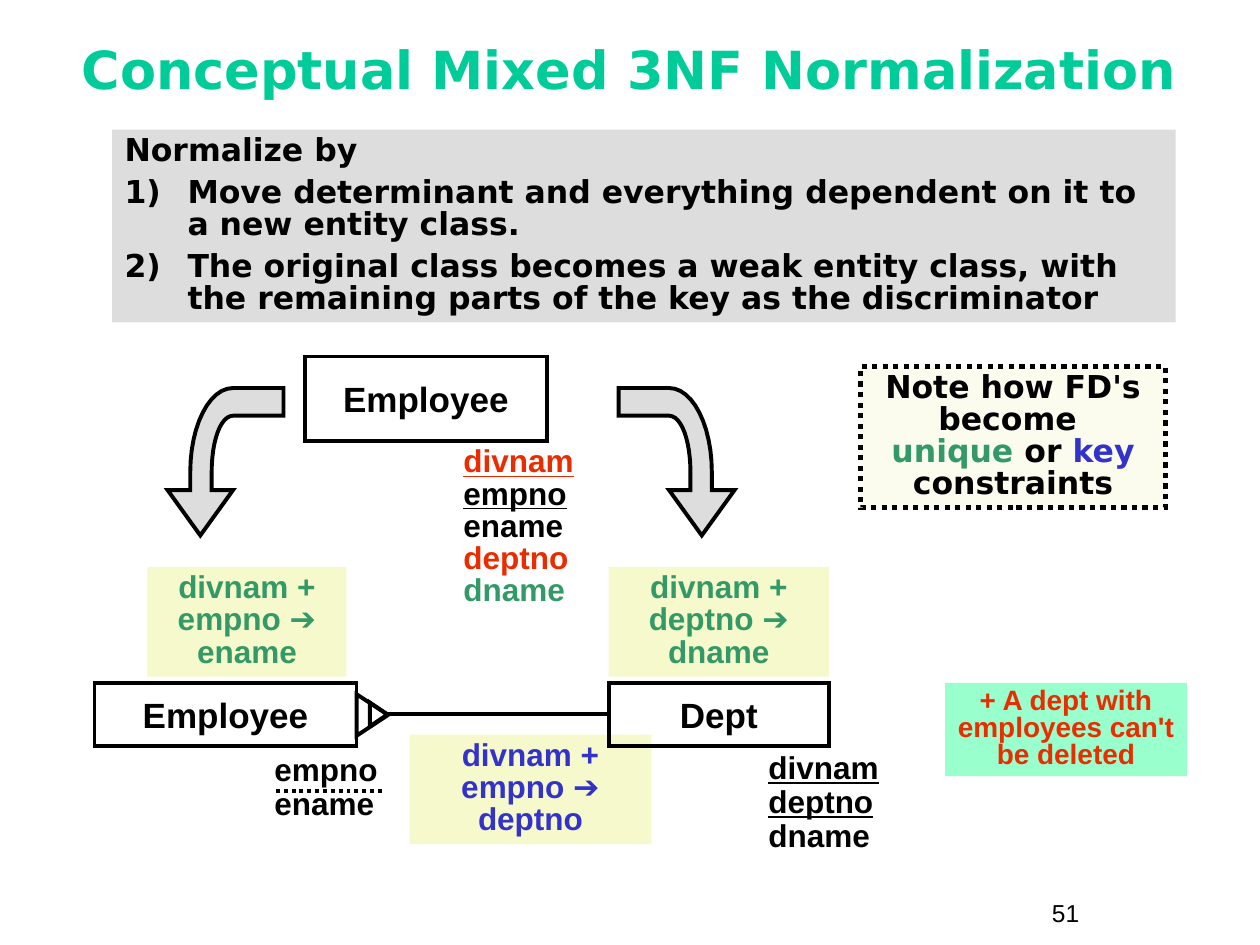
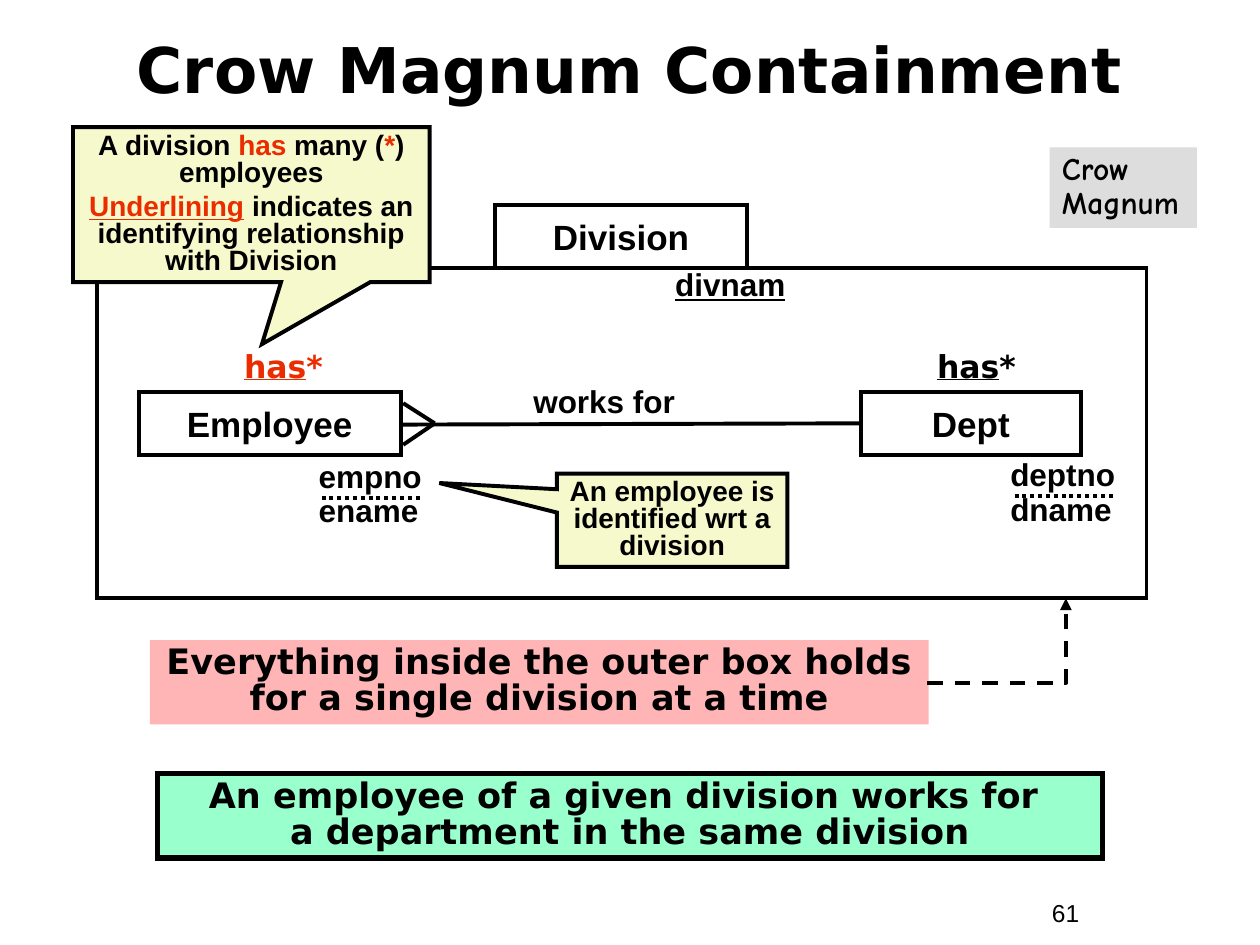
from dataclasses import dataclass

from lxml import etree
from pptx import Presentation
from pptx.dml.color import RGBColor
from pptx.enum import dml, shapes, text
from pptx.oxml import ns
from pptx.util import Inches, Pt

RECT = shapes.MSO_SHAPE.RECTANGLE
CALLOUT = shapes.MSO_SHAPE.RECTANGULAR_CALLOUT
TRIANGLE = shapes.MSO_SHAPE.ISOSCELES_TRIANGLE
DOTS = dml.MSO_LINE.ROUND_DOT
DASHES = dml.MSO_LINE.DASH
CENTER = text.PP_ALIGN.CENTER


@dataclass(frozen=True)
class Theme:
    black: str = "000000"
    mint: str = "00CC99"
    red: str = "EA2D00"
    green: str = "339966"
    blue: str = "3333CC"
    gray: str = "DDDDDD"
    cream: str = "F6F9CB"
    ivory: str = "FBFCEE"
    pink: str = "FFB5B5"
    aqua: str = "99FFCC"
    sans: str = "Arial"
    display: str = "DejaVu Sans"
    comic: str = "Comic Neue"
    line: float = 2.25
    heavy: float = 3
    small: int = 14
    note: int = 16
    body: int = 18
    label: int = 20


THEME = Theme()
BASE = dict(size=THEME.body, name=THEME.sans, color=THEME.black, bold=True, underline=False)
DISPLAY = BASE | dict(name=THEME.display)
LABEL = BASE | dict(size=THEME.label)
BANNER = DISPLAY | dict(size=THEME.label)
NOTE = BASE | dict(size=THEME.note)
RED = dict(color=THEME.red)
GREEN = dict(color=THEME.green)
BLUE = dict(color=THEME.blue)
UNDER = dict(underline=True)

TIGHT = dict(line_spacing=0.85)
CENTERED = TIGHT | dict(alignment=CENTER, space_before=Pt(11.2))
BANNER_PARA = CENTERED | dict(space_before=Pt(12.5))
NOTE_PARA = dict(alignment=CENTER, line_spacing=0.8, space_before=Pt(4))


@dataclass(frozen=True)
class Box:
    left: float
    top: float
    width: float
    height: float

    def area(self, dx, dy, width, height):
        return Box(self.left + dx, self.top + dy, width, height)

    def point(self, dx, dy):
        return self.left + dx, self.top + dy

    @property
    def lengths(self):
        return [Inches(v) for v in (self.left, self.top, self.width, self.height)]


def add_xml(parent, tag, **attributes):
    return etree.SubElement(parent, ns.qn(tag), attributes)


def set_values(target, values):
    for key, value in values.items():
        setattr(target, key, value)


def format_span(span, values):
    for key, value in values.items():
        if key == "color":
            span.font.color.rgb = RGBColor.from_string(value)
        else:
            setattr(span.font, key, Pt(value) if key == "size" else value)


def write(shape, paragraphs, font=BASE, para_format=TIGHT, anchor=text.MSO_ANCHOR.TOP, wrap=True, grow=True):
    """Fill a shape; a paragraph is a string or a list of (words, font changes)."""
    frame = shape.text_frame
    set_values(frame, dict(
        word_wrap=wrap, vertical_anchor=anchor,
        auto_size=text.MSO_AUTO_SIZE.SHAPE_TO_FIT_TEXT if grow else text.MSO_AUTO_SIZE.NONE))
    for index, spans in enumerate(paragraphs):
        para = frame.add_paragraph() if index else frame.paragraphs[0]
        set_values(para, dict(alignment=text.PP_ALIGN.LEFT) | para_format)
        for words, changes in [(spans, {})] if isinstance(spans, str) else spans:
            for row, piece in enumerate(words.split("\n")):
                if row:
                    para.add_line_break()
                if piece:
                    span = para.add_run()
                    span.text = piece
                    format_span(span, font | changes)
    return shape


def set_line(line, width, dash=None):
    line.color.rgb = RGBColor.from_string(THEME.black)
    line.width = Pt(width)
    if dash:
        line.dash_style = dash


def paint(shape, fill=None, line=None, dash=None):
    shape.shadow.inherit = False
    if fill:
        shape.fill.solid()
        shape.fill.fore_color.rgb = RGBColor.from_string(fill)
    else:
        shape.fill.background()
    if line:
        set_line(shape.line, line, dash)
        add_xml(shape.element.spPr.find(ns.qn("a:ln")), "a:miter", lim="800000")
    else:
        shape.line.fill.background()
    return shape


def add_panel(page, box, fill=None, line=None, dash=None, kind=RECT):
    return paint(page.shapes.add_shape(kind, *box.lengths), fill, line, dash)


def add_words(page, box, paragraphs, font=BASE, para_format=TIGHT):
    return write(page.shapes.add_textbox(*box.lengths), paragraphs, font, para_format)


def add_line(page, start, end, dash=None, kind=shapes.MSO_CONNECTOR.STRAIGHT):
    link = page.shapes.add_connector(kind, *[Inches(v) for v in (*start, *end)])
    set_line(link.line, THEME.line, dash)
    add_xml(link.element.spPr, "a:effectLst")
    return link


def add_entity(page, box, name):
    write(add_panel(page, box, line=THEME.line), [name], LABEL,
          dict(alignment=CENTER, space_before=Pt(12.5)),
          anchor=text.MSO_ANCHOR.MIDDLE, wrap=False, grow=False)


def add_attributes(page, box, names, dots=None):
    """List attributes; dots gives the start and length of the discriminator underline."""
    add_words(page, box, names, para_format=dict(line_spacing=0.9))
    if dots:
        start, length = dots
        add_line(page, box.point(start + length, 0.34), box.point(start, 0.34), DOTS)


def add_dependency(page, box, words, color):
    write(add_panel(page, box, THEME.cream), [words], BASE | color, CENTERED)


def add_callout(page, box, paragraphs, tip):
    callout = add_panel(page, box, THEME.cream, THEME.line, kind=CALLOUT)
    for index, value in enumerate(tip):
        callout.adjustments[index] = value
    write(callout, paragraphs, NOTE, NOTE_PARA, anchor=text.MSO_ANCHOR.MIDDLE)


def bezier(points, steps=12):
    """Points along a cubic curve, without its first point."""
    for step in range(1, steps + 1):
        t = step / steps
        weights = ((1 - t) ** 3, 3 * t * (1 - t) ** 2, 3 * t * t * (1 - t), t ** 3)
        yield tuple(sum(w * p[axis] for w, p in zip(weights, points)) for axis in (0, 1))


def add_curved_arrow(page, box, mirrored=False):
    outer = [(0.52, 0), (0.33, 0), (0.18, 0.3), (0.18, 0.67)]
    inner = [(0.35, 0.67), (0.35, 0.42), (0.42, 0.22), (0.52, 0.22)]
    head = [(0.18, 0.81), (0, 0.81), (0.26, 1.17), (0.52, 0.81), (0.35, 0.81)]
    outline = [(box.width, 0), outer[0], *bezier(outer), *head, inner[0], *bezier(inner), (box.width, 0.22)]
    if mirrored:
        outline = [(box.width - x, y) for x, y in outline]
    points = [tuple(Inches(v) for v in box.point(x, y)) for x, y in outline]
    builder = page.shapes.build_freeform(*points[0])
    builder.add_line_segments(points[1:], close=True)
    paint(builder.convert_to_shape(), THEME.gray, THEME.line)


def add_page(deck, title, box, number, size, color):
    page = deck.slides.add_slide(deck.slide_layouts.get_by_name("Title Only"))
    heading = page.shapes.title
    set_values(heading, dict(zip(("left", "top", "width", "height"), box.lengths)))
    write(heading, [title], DISPLAY | dict(size=size, color=color),
          TIGHT | dict(alignment=CENTER, space_before=Pt(0)),
          anchor=text.MSO_ANCHOR.MIDDLE, grow=False)
    add_words(page, Box(8.25, 7.08, 0.92, 0.34), [number],
              BASE | dict(size=THEME.small, bold=False), dict(space_before=Pt(8.8)))
    return page


def add_rules(page, box):
    panel = write(add_panel(page, box, THEME.gray), [
        "Normalize by",
        "Move determinant and everything dependent on it to a new entity class.",
        "The original class becomes a weak entity class, with the remaining parts of the key as the discriminator",
    ], DISPLAY, TIGHT | dict(space_before=Pt(5.6)))
    for index, para in enumerate(panel.text_frame.paragraphs):
        layout = para._p.get_or_add_pPr()
        layout.set("marL", str(Inches(0.5)))
        layout.set("indent", str(Inches(-0.5)))
        if index:
            add_xml(add_xml(layout, "a:buClr"), "a:srgbClr", val=THEME.black)
            add_xml(layout, "a:buAutoNum", type="arabicParenR")


def add_source_entity(page, box):
    add_entity(page, box, "Employee")
    add_words(page, box.area(1.16, 0.67, 1.33, 1.38), [
        [("divnam", RED | UNDER)], [("empno", UNDER)], "ename", [("deptno", RED)], [("dname", GREEN)]])
    add_curved_arrow(page, box.area(-1.09, 0.25, 0.92, 1.17))
    add_curved_arrow(page, box.area(2.49, 0.25, 0.92, 1.17), mirrored=True)


def add_decomposition(page, box):
    add_dependency(page, box.area(0.42, 0, 1.58, 0.87), "divnam + empno ➔ ename", GREEN)
    add_dependency(page, box.area(4.08, 0, 1.75, 0.87), "divnam + deptno ➔ dname", GREEN)
    add_dependency(page, box.area(2.5, 1.33, 1.92, 0.87), "divnam + empno ➔ deptno", BLUE)
    add_entity(page, box.area(4.08, 0.92, 1.75, 0.5), "Dept")
    add_entity(page, box.area(0, 0.92, 2.08, 0.5), "Employee")
    add_line(page, box.point(4.07, 1.17), box.point(2.33, 1.17))
    add_attributes(page, box.area(5.25, 1.42, 1.42, 0.91),
                   [[("divnam", UNDER)], [("deptno\n", UNDER), ("dname", {})]])
    add_attributes(page, box.area(1.33, 1.44, 1.67, 0.64), ["empno", "ename"], (0.09, 0.86))
    for foot in (box.area(2.04, 1.05, 0.33, 0.25), box.area(2.16, 1.1, 0.19, 0.14)):
        add_panel(page, foot, line=THEME.line, kind=TRIANGLE).rotation = 90


def add_constraint_notes(page, box):
    write(add_panel(page, box.area(0, 0, 2.42, 1.12), THEME.ivory, THEME.heavy, DOTS), [[
        ("Note how FD's\nbecome \n", {}), ("unique", GREEN), (" or ", {}), ("key", BLUE),
        (" constraints", {})]], DISPLAY, CENTERED)
    write(add_panel(page, box.area(0.67, 2.51, 1.92, 0.74), THEME.aqua),
          ["+ A dept with employees can't be deleted"], NOTE | RED, NOTE_PARA | dict(space_before=Pt(10)))


def add_division(page, box):
    add_panel(page, box, line=THEME.line)
    add_entity(page, box.area(3.16, -0.5, 2, 0.5), "Division")
    add_attributes(page, box.area(4.49, -0.04, 1.32, 0.37), [[("divnam", UNDER)]])
    add_words(page, box.area(2.9, 0.9, 2.25, 0.36), ["works for"], para_format=CENTERED)
    add_attributes(page, box.area(1.66, 1.48, 1.32, 0.64), ["empno", "ename"], (0.12, 0.78))
    add_attributes(page, box.area(7.15, 1.47, 1.17, 0.64), ["deptno", "dname"], (0.13, 0.78))
    add_entity(page, box.area(6.06, 0.98, 1.75, 0.5), "Dept")
    add_entity(page, box.area(0.33, 0.98, 2.08, 0.5), "Employee")
    add_line(page, box.point(6.05, 1.23), box.point(2.43, 1.24))
    for toe in (1.07, 1.4):
        add_line(page, box.point(2.68, 1.23), box.point(2.43, toe))
    for dx, color in ((0.48, RED), (5.98, {})):
        add_words(page, box.area(dx, 0.62, 2, 0.36), [[("has", UNDER), ("*", {})]], DISPLAY | color, CENTERED)
    add_callout(page, box.area(3.65, 1.63, 1.83, 0.74),
                ["An employee is identified wrt a division"], (-1.01, -0.4))
    add_callout(page, box.area(-0.19, -1.12, 2.83, 1.23), [
        [("A division ", {}), ("has", RED), (" many (", {}), ("*", RED), (") employees", {})],
        [("Underlining", RED | UNDER), (" indicates an identifying relationship\nwith Division", {})],
    ], (0.03, 0.9))


def add_conclusions(page, box):
    write(add_panel(page, box.area(0, 0, 6.18, 0.67), THEME.pink),
          ["Everything inside the outer box holds for a single division at a time"], BANNER, BANNER_PARA)
    link = add_line(page, box.point(6.17, 0.34), box.point(7.27, -0.33), DASHES, shapes.MSO_CONNECTOR.ELBOW)
    frame = link.element.spPr
    frame.find(ns.qn("a:prstGeom")).set("prst", "bentConnector2")
    add_xml(frame.find(ns.qn("a:ln")), "a:tailEnd", type="triangle")
    write(add_panel(page, box.area(0.06, 1.06, 7.5, 0.67), THEME.aqua, THEME.heavy),
          ["An employee of a given division works for \na department in the same division"], BANNER, BANNER_PARA)


def build_normalization(deck):
    page = add_page(deck, "Conceptual Mixed 3NF Normalization", Box(0.33, 0.25, 9.33, 0.67), "51", 30, THEME.mint)
    add_rules(page, Box(0.89, 1.03, 8.44, 1.53))
    add_source_entity(page, Box(2.42, 2.83, 1.92, 0.67))
    add_decomposition(page, Box(0.75, 4.5, 6.67, 2.33))
    add_constraint_notes(page, Box(6.83, 2.91, 2.59, 3.25))


def build_containment(deck):
    page = add_page(deck, "Crow Magnum Containment", Box(0.33, 0.13, 9.33, 0.92), "61", 36, THEME.black)
    add_division(page, Box(0.77, 2.13, 8.33, 2.62))
    add_conclusions(page, Box(1.19, 5.08, 7.56, 1.73))
    write(add_panel(page, Box(8.33, 1.17, 1.17, 0.64), THEME.gray), ["Crow\nMagnum"],
          BASE | dict(name=THEME.comic), dict(line_spacing=0.9, space_before=Pt(2.2)))


def main():
    deck = Presentation()
    deck.slide_width, deck.slide_height = Inches(10), Inches(7.5)
    build_normalization(deck)
    build_containment(deck)
    deck.save("out.pptx")


if __name__ == "__main__":
    main()
